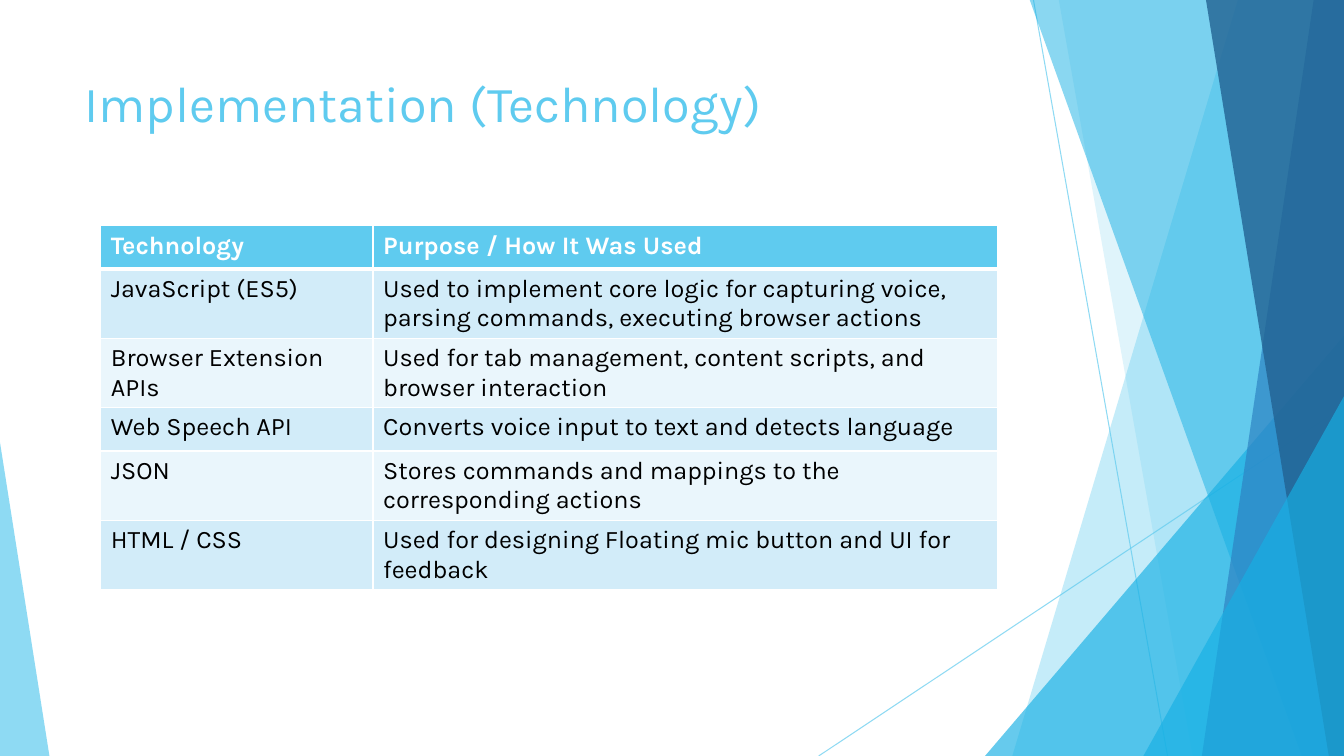
"""Build the Implementation (Technology) slide with its faceted side panels."""
from dataclasses import dataclass
from typing import Union

from lxml.etree import SubElement
from pptx import Presentation
from pptx.dml.color import RGBColor
from pptx.enum.shapes import MSO_CONNECTOR, MSO_SHAPE
from pptx.enum.text import MSO_ANCHOR, PP_ALIGN
from pptx.oxml.ns import qn
from pptx.shapes.autoshape import Shape
from pptx.shapes.connector import Connector
from pptx.slide import Slide
from pptx.table import _Cell
from pptx.text.text import _Paragraph
from pptx.util import Inches, Pt

FONT = "Karla"
WIDTH, HEIGHT, PANEL_TOP = 13.33, 7.5, -0.01
COLOURS = {
    "sky": "5FCBEF", "cyan": "17B0E4", "blue": "2E83C3", "navy": "226292",
    "white": "FFFFFF", "black": "000000", "odd_row": "D2ECF9", "even_row": "EAF6FC",
}


@dataclass(frozen=True)
class Panel:
    """A full-height facet that reaches the right edge of the slide."""
    top_x: float
    bottom_x: float
    colour: str
    opacity: int


@dataclass(frozen=True)
class Corner:
    """A triangle that stands on the bottom edge of the slide."""
    left: float
    width: float
    height: float
    apex: float
    colour: str
    opacity: int


@dataclass(frozen=True)
class Ray:
    """A thin line that ends on the bottom edge of the slide."""
    start_x: float
    start_y: float
    end_x: float


RAYS = [Ray(10.25, 0, 11.58), Ray(WIDTH, 4.03, 8.12)]
FACETS: list[Union[Panel, Corner]] = [
    Panel(12.28, 10.04, "sky", 36),
    Panel(10.5, 11.83, "sky", 20),
    Corner(9.77, 3.56, 4.17, 1, "cyan", 66),
    Panel(10.21, 12.91, "cyan", 50),
    Panel(13.03, 11.92, "blue", 70),
    Panel(11.96, 13.18, "navy", 80),
    Corner(11.34, 1.99, 3.57, 1, "cyan", 66),
    Corner(0, 0.49, 3.11, 0, "sky", 70),
]
COLUMN_WIDTHS = [2.7, 6.19]
ROW_HEIGHT = 0.43
ROWS = [
    ("Technology", "Purpose / How It Was Used"),
    ("JavaScript (ES5)",
     "Used to implement core logic for capturing voice, parsing commands, executing browser actions"),
    ("Browser Extension APIs",
     "Used for tab management, content scripts, and browser interaction"),
    ("Web Speech API", "Converts voice input to text and detects language"),
    ("JSON", "Stores commands and mappings to the corresponding actions"),
    ("HTML / CSS", "Used for designing Floating mic button and UI for feedback"),
]


def colour_of(name: str) -> RGBColor:
    """Return the named colour."""
    return RGBColor.from_string(COLOURS[name])


def set_opacity(shape: Union[Shape, Connector], percent: int) -> None:
    """Make the first colour of a shape partly transparent."""
    colour = next(shape.element.spPr.iter(qn("a:srgbClr")))
    SubElement(colour, qn("a:alpha"), val=str(percent * 1000))


def add_ray(slide: Slide, ray: Ray) -> None:
    """Draw one thin line."""
    connector = slide.shapes.add_connector(
        MSO_CONNECTOR.STRAIGHT, Inches(ray.start_x), Inches(ray.start_y),
        Inches(ray.end_x), Inches(HEIGHT))
    connector.line.color.rgb = colour_of("sky")
    connector.line.width = Pt(0.75)
    set_opacity(connector, 70)
    SubElement(connector.element.spPr, qn("a:effectLst"))


def add_facet(slide: Slide, facet: Union[Panel, Corner]) -> None:
    """Draw one translucent panel or corner."""
    if isinstance(facet, Panel):
        builder = slide.shapes.build_freeform(
            Inches(facet.top_x), Inches(PANEL_TOP))
        builder.add_line_segments([
            (Inches(x), Inches(y)) for x, y in
            [(WIDTH, PANEL_TOP), (WIDTH, HEIGHT), (facet.bottom_x, HEIGHT)]])
        shape = builder.convert_to_shape()
    else:
        shape = slide.shapes.add_shape(
            MSO_SHAPE.ISOSCELES_TRIANGLE, Inches(facet.left),
            Inches(HEIGHT - facet.height), Inches(facet.width), Inches(facet.height))
        shape.adjustments[0] = facet.apex
    shape.shadow.inherit = False
    shape.fill.solid()
    shape.fill.fore_color.rgb = colour_of(facet.colour)
    shape.line.fill.background()
    set_opacity(shape, facet.opacity)


def add_run(paragraph: _Paragraph, text: str, size: int, colour: str, bold: bool = False) -> None:
    """Add one formatted run."""
    run = paragraph.add_run()
    run.text = text
    run.font.name = FONT
    run.font.size = Pt(size)
    run.font.bold = bold
    run.font.color.rgb = colour_of(colour)


def add_title(slide: Slide) -> None:
    """Place the title above the facets."""
    title = slide.shapes.title
    title.left, title.top = Inches(0.74), Inches(0.67)
    title.width, title.height = Inches(9.4), Inches(1.44)
    title.text_frame.word_wrap = True
    title.text_frame.vertical_anchor = MSO_ANCHOR.TOP
    paragraph = title.text_frame.paragraphs[0]
    paragraph.alignment = PP_ALIGN.LEFT
    add_run(paragraph, "Implementation (Technology)", 36, "sky")
    title.element.getparent().append(title.element)


def set_borders(cell: _Cell, top: int, bottom: int) -> None:
    """Give a cell white borders of the given point widths."""
    properties = cell._tc.get_or_add_tcPr()
    for side, width in (("L", 1), ("R", 1), ("T", top), ("B", bottom)):
        line = SubElement(properties, qn(f"a:ln{side}"), w=str(Pt(width)))
        fill = SubElement(line, qn("a:solidFill"))
        SubElement(fill, qn("a:srgbClr"), val=COLOURS["white"])


def add_technology_table(slide: Slide) -> None:
    """Draw the table of technologies and their purposes."""
    table = slide.shapes.add_table(
        len(ROWS), len(COLUMN_WIDTHS), Inches(1), Inches(2.24),
        Inches(sum(COLUMN_WIDTHS)), Inches(ROW_HEIGHT * len(ROWS))).table
    for column, width in zip(table.columns, COLUMN_WIDTHS):
        column.width = Inches(width)
    for row_index, texts in enumerate(ROWS):
        header = row_index == 0
        band = "sky" if header else "odd_row" if row_index % 2 else "even_row"
        for column_index, text in enumerate(texts):
            cell = table.cell(row_index, column_index)
            set_borders(cell, 3 if row_index == 1 else 1, 3 if header else 1)
            cell.fill.solid()
            cell.fill.fore_color.rgb = colour_of(band)
            add_run(cell.text_frame.paragraphs[0], text, 18,
                    "white" if header else "black", header)


def main() -> None:
    """Build and save the presentation."""
    presentation = Presentation()
    presentation.slide_width, presentation.slide_height = Inches(WIDTH), Inches(HEIGHT)
    slide = presentation.slides.add_slide(presentation.slide_layouts.get_by_name("Title Only"))
    for ray in RAYS:
        add_ray(slide, ray)
    for facet in FACETS:
        add_facet(slide, facet)
    add_title(slide)
    add_technology_table(slide)
    presentation.save("out.pptx")


if __name__ == "__main__":
    main()
